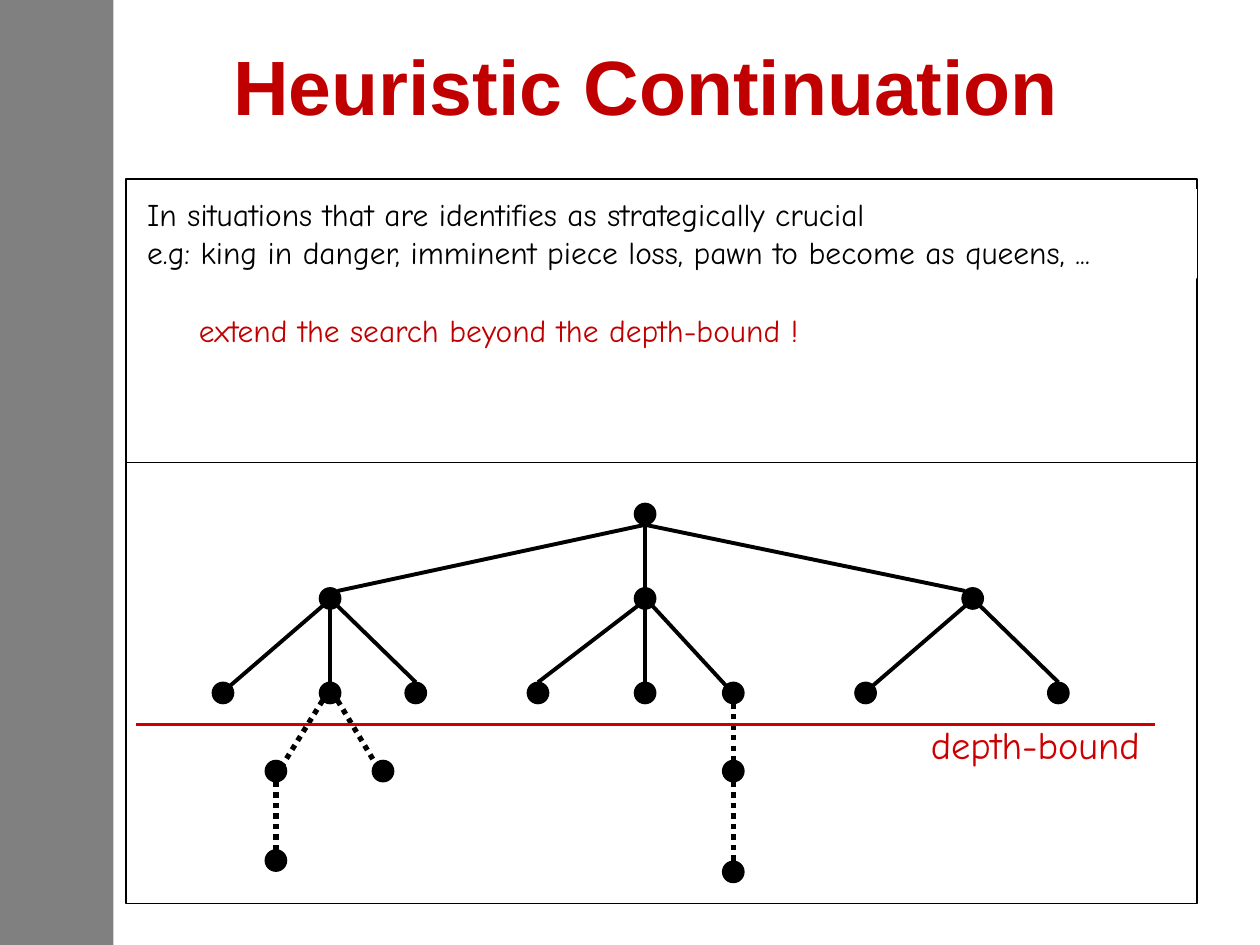
from lxml.etree import SubElement
from pptx import Presentation
from pptx.dml.color import RGBColor
from pptx.enum.dml import MSO_LINE_DASH_STYLE as Dash
from pptx.enum.shapes import MSO_CONNECTOR as Link, MSO_SHAPE as Shape
from pptx.enum.text import MSO_ANCHOR as Anchor, PP_ALIGN as Align
from pptx.oxml.ns import qn
from pptx.util import Inches, Pt

HUES = {"ink": "000000", "paper": "FFFFFF", "bar": "808080",
        "red": "C00000", "bound": "CC0000"}
HEAD, BODY = "Arial", "Comic Neue"

TITLE = ["Heuristic Continuation"]
CASES = ["In situations that are identifies as strategically crucial",
         "e.g: king in danger, imminent piece loss, pawn to become as queens, ..."]
ADVICE = ["extend the search beyond the depth-bound !"]
BOUND = ["depth-bound"]

# Tree levels: centre height, then the centre of each node across
LEVELS = [
    (4.08, {"root": 5.12}),
    (4.75, {"a": 2.62, "b": 5.12, "c": 7.72}),
    (5.5, {"a1": 1.77, "a2": 2.62, "a3": 3.3, "b1": 4.27, "b2": 5.12,
           "b3": 5.82, "c1": 6.87, "c2": 8.4}),
    (6.12, {"d1": 2.19, "d2": 3.04, "e1": 5.82}),
    (6.83, {"d3": 2.19}),
    (6.92, {"e2": 5.82}),
]
# Parent, side it leaves from, child, side it reaches
SOLID = [
    ("root", "S", "a", "NE"), ("root", "S", "b", "N"), ("root", "S", "c", "NW"),
    ("a", "SW", "a1", "NE"), ("a", "S", "a2", "N"), ("a", "SE", "a3", "N"),
    ("b", "SW", "b1", "N"), ("b", "S", "b2", "N"), ("b", "SE", "b3", "NW"),
    ("c", "SW", "c1", "NE"), ("c", "SE", "c2", "N"),
]
DOTTED = [
    ("a2", "SW", "d1", "NE"), ("a2", "SE", "d2", "NW"), ("d1", "S", "d3", "N"),
    ("b3", "S", "e1", "N"), ("e1", "S", "e2", "N"),
]
SIDES = {"N": (0, -1), "S": (0, 1), "NE": (0.7, -0.7), "NW": (-0.7, -0.7),
         "SE": (0.7, 0.7), "SW": (-0.7, 0.7)}
DOT = 0.17

deck = Presentation()
deck.slide_width, deck.slide_height = Inches(10), Inches(7.5)
slide = deck.slides.add_slide(deck.slide_layouts[6])
shapes = slide.shapes


def hue(name):
    return RGBColor.from_string(HUES[name])


def block(kind, x, y, w, h, fill, edge=None):
    item = shapes.add_shape(kind, Inches(x), Inches(y), Inches(w), Inches(h))
    item.shadow.inherit = False
    item.fill.solid()
    item.fill.fore_color.rgb = hue(fill)
    if edge:
        item.line.color.rgb = hue(edge)
        item.line.width = Pt(0.75)
    else:
        item.line.fill.background()
    return item


def write(item, lines, size, font, tint, bold=False, align=Align.LEFT,
          anchor=Anchor.TOP):
    frame = item.text_frame
    frame.word_wrap = True
    frame.vertical_anchor = anchor
    for i, line in enumerate(lines):
        para = frame.add_paragraph() if i else frame.paragraphs[0]
        para.alignment = align
        run = para.add_run()
        run.text = line
        run.font.size, run.font.name, run.font.bold = Pt(size), font, bold
        run.font.color.rgb = hue(tint)


def label(x, y, w, h):
    return shapes.add_textbox(Inches(x), Inches(y), Inches(w), Inches(h))


def stroke(start, end, tint, width, dash=None):
    line = shapes.add_connector(Link.STRAIGHT, *map(Inches, start + end))
    line.line.color.rgb = hue(tint)
    line.line.width = Pt(width)
    if dash:
        line.line.dash_style = dash
    SubElement(line._element.spPr, qn("a:effectLst"))


def rim(node, side):
    """Point on the edge of a node's dot."""
    (x, y), (dx, dy) = nodes[node], SIDES[side]
    return x + dx * DOT / 2, y + dy * DOT / 2


block(Shape.RECTANGLE, 0, 0, 0.9, 7.5, "bar")
write(label(1.17, 0.17, 7.92, 1), TITLE, 44, HEAD, "red", True,
      Align.CENTER, Anchor.MIDDLE)

block(Shape.RECTANGLE, 1, 1.42, 8.5, 2.25, "paper", "ink")
write(block(Shape.RECTANGLE, 1.07, 1.5, 8.43, 0.71, "paper"),
      CASES, 18, BODY, "ink")
write(label(1.48, 2.42, 5.45, 0.4), ADVICE, 18, BODY, "red")

block(Shape.RECTANGLE, 1, 3.67, 8.5, 3.5, "paper", "ink")
nodes = {name: (x, y) for y, row in LEVELS for name, x in row.items()}
for x, y in nodes.values():
    block(Shape.OVAL, x - DOT / 2, y - DOT / 2, DOT, DOT, "ink", "ink")
for edges, width, dash in ((SOLID, 2.25, None), (DOTTED, 3, Dash.ROUND_DOT)):
    for top, out, low, into in edges:
        stroke(rim(top, out), rim(low, into), "ink", width, dash)

stroke((1.08, 5.75), (9.17, 5.75), "bound", 2.25)
write(label(7.29, 5.67, 2, 0.47), BOUND, 22, BODY, "bound")

deck.save("out.pptx")
